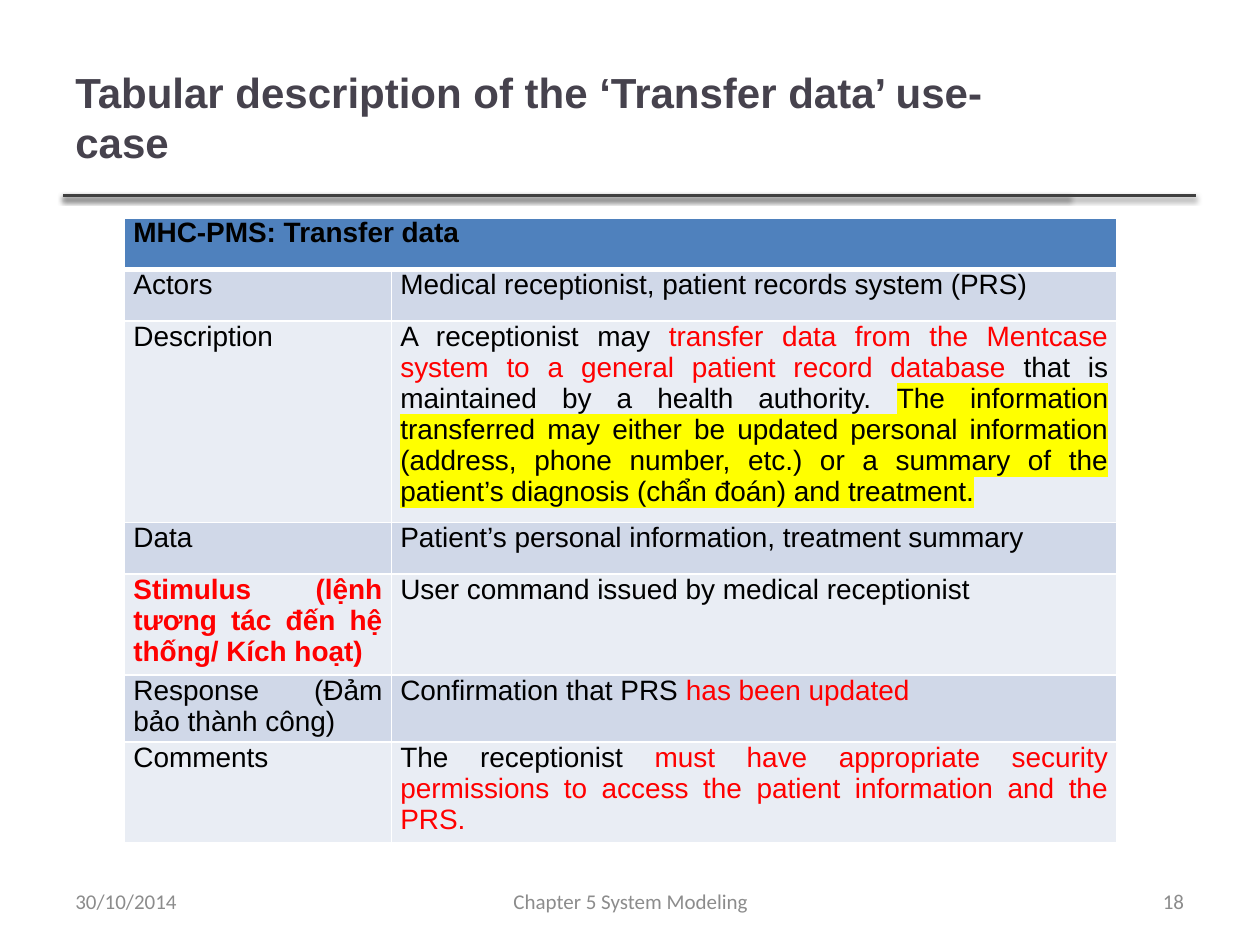
from dataclasses import dataclass

from lxml import etree
from pptx import Presentation
from pptx import util as u
from pptx.dml.color import RGBColor
from pptx.enum import shapes, text
from pptx.oxml import parse_xml
from pptx.oxml.ns import nsdecls, qn


@dataclass(frozen=True)
class Theme:
    title: str = "46424D"
    rule: str = "404040"
    footer: str = "8C8C8C"
    body: str = "000000"
    accent: str = "FF0000"
    marker: str = "FFFF00"
    border: str = "FFFFFF"
    header_fill: str = "4F81BD"
    band_fills: tuple = ("D0D8E8", "E9EDF4")
    title_size: int = 24
    table_size: int = 16
    footer_size: int = 12
    font: str = "Arial"
    footer_font: str = "Calibri"


THEME = Theme()
RED = {"color": THEME.accent}

# Each cell is a list of (text, format) runs
HEADER = [("MHC-PMS: Transfer data", {"bold": True})]
ROWS = [
    ([("Actors", {})],
     [("Medical receptionist, patient records system (PRS)", {})]),
    ([("Description", {})],
     [("A receptionist may ", {}),
      ("transfer data from the Mentcase system to a general patient record database ", RED),
      ("that is maintained by a health authority. ", {}),
      ("The information transferred may either be updated personal information "
       "(address, phone number, etc.) or a summary of the patient’s diagnosis "
       "(chẩn đoán) and treatment.", {"highlight": THEME.marker})]),
    ([("Data", {})],
     [("Patient’s personal information, treatment summary", {})]),
    ([("Stimulus (lệnh tương tác đến hệ thống/ Kích hoạt)", {"bold": True, **RED})],
     [("User command issued by medical receptionist", {})]),
    ([("Response (Đảm bảo thành công)", {})],
     [("Confirmation that PRS ", {}), ("has been updated", RED)]),
    ([("Comments", {})],
     [("The receptionist ", {}),
      ("must have appropriate security permissions to access the patient "
       "information and the PRS.", RED)]),
]


def add_run(paragraph, content, *, size=THEME.table_size, font=THEME.font,
            color=THEME.body, bold=False, highlight=None):
    run = paragraph.add_run()
    run.text = content
    run.font.size = u.Pt(size)
    run.font.name = font
    run.font.bold = bold
    run.font.color.rgb = RGBColor.from_string(color)
    if highlight:
        mark = parse_xml(f'<a:highlight {nsdecls("a")}><a:srgbClr val="{highlight}"/></a:highlight>')
        run.font._element.find(qn("a:solidFill")).addnext(mark)


def add_text(slide, content, left, top, width, height,
             align=text.PP_ALIGN.LEFT, **style):
    box = slide.shapes.add_textbox(u.Cm(left), u.Cm(top), u.Cm(width), u.Cm(height))
    frame = box.text_frame
    frame.word_wrap = True
    frame.vertical_anchor = text.MSO_ANCHOR.MIDDLE
    frame.paragraphs[0].alignment = align
    add_run(frame.paragraphs[0], content, **style)


def add_rule(slide, left, right, top):
    line = slide.shapes.add_connector(
        shapes.MSO_CONNECTOR.STRAIGHT, u.Cm(left), u.Cm(top), u.Cm(right), u.Cm(top))
    line.line.color.rgb = RGBColor.from_string(THEME.rule)
    line.line.width = u.Pt(2)
    effects = etree.SubElement(line._element.spPr, qn("a:effectLst"))
    shadow = etree.SubElement(effects, qn("a:outerShdw"), blurRad=str(u.Pt(3.1)),
                              dist=str(u.Pt(1.6)), dir="5400000", rotWithShape="0")
    color = etree.SubElement(shadow, qn("a:srgbClr"), val="000000")
    etree.SubElement(color, qn("a:alpha"), val="38000")


def set_borders(cell, top, bottom):
    properties = cell._tc.get_or_add_tcPr()
    widths = {"lnL": 1, "lnR": 1, "lnT": top, "lnB": bottom}
    for position, (side, width) in enumerate(widths.items()):
        properties.insert(position, parse_xml(
            f'<a:{side} {nsdecls("a")} w="{u.Pt(width)}"><a:solidFill>'
            f'<a:srgbClr val="{THEME.border}"/></a:solidFill></a:{side}>'))


def fill_cell(cell, runs, fill, top=1, bottom=1):
    cell.margin_left = cell.margin_right = u.Cm(0.18)
    cell.margin_top = cell.margin_bottom = 0
    cell.fill.solid()
    cell.fill.fore_color.rgb = RGBColor.from_string(fill)
    set_borders(cell, top, bottom)
    paragraph = cell.text_frame.paragraphs[0]
    paragraph.alignment = text.PP_ALIGN.JUSTIFY
    for content, style in runs:
        add_run(paragraph, content, **style)


def add_use_case_table(slide, left, top, widths, row_height):
    count = len(ROWS) + 1
    table = slide.shapes.add_table(
        count, len(widths), u.Cm(left), u.Cm(top),
        u.Cm(sum(widths)), u.Cm(row_height * count)).table
    for column, width in zip(table.columns, widths):
        column.width = u.Cm(width)
    for row in table.rows:
        row.height = u.Cm(row_height)

    # Header across both columns, with a thick line below
    table.cell(0, 0).merge(table.cell(0, 1))
    for column, runs in enumerate((HEADER, [])):
        fill_cell(table.cell(0, column), runs, THEME.header_fill, bottom=3)

    # Banded body rows
    for index, cells in enumerate(ROWS):
        for column, runs in enumerate(cells):
            fill_cell(table.cell(index + 1, column), runs,
                      THEME.band_fills[index % 2], top=3 if index == 0 else 1)


def main():
    presentation = Presentation()
    presentation.slide_width, presentation.slide_height = u.Cm(25.4), u.Cm(19.05)
    slide = presentation.slides.add_slide(presentation.slide_layouts[6])

    # Title and the two overlapping rules below it
    for right in (21.56, 24.1):
        add_rule(slide, 1.27, right, 3.94)
    add_text(slide, "Tabular description of the ‘Transfer data’ use-case",
             1.27, 0.76, 20.27, 3.18,
             size=THEME.title_size, color=THEME.title, bold=True)

    # Use-case table
    add_use_case_table(slide, 2.51, 4.39, (5.38, 14.63), 1.04)

    # Footer: date, chapter, slide number
    footer = (
        ("30/10/2014", 1.27, 5.92, text.PP_ALIGN.LEFT),
        ("Chapter 5 System Modeling", 8.69, 8.05, text.PP_ALIGN.CENTER),
        ("18", 18.2, 5.92, text.PP_ALIGN.RIGHT),
    )
    for content, left, width, align in footer:
        add_text(slide, content, left, 17.65, width, 1.02, align,
                 size=THEME.footer_size, font=THEME.footer_font, color=THEME.footer)

    presentation.save("out.pptx")


if __name__ == "__main__":
    main()
